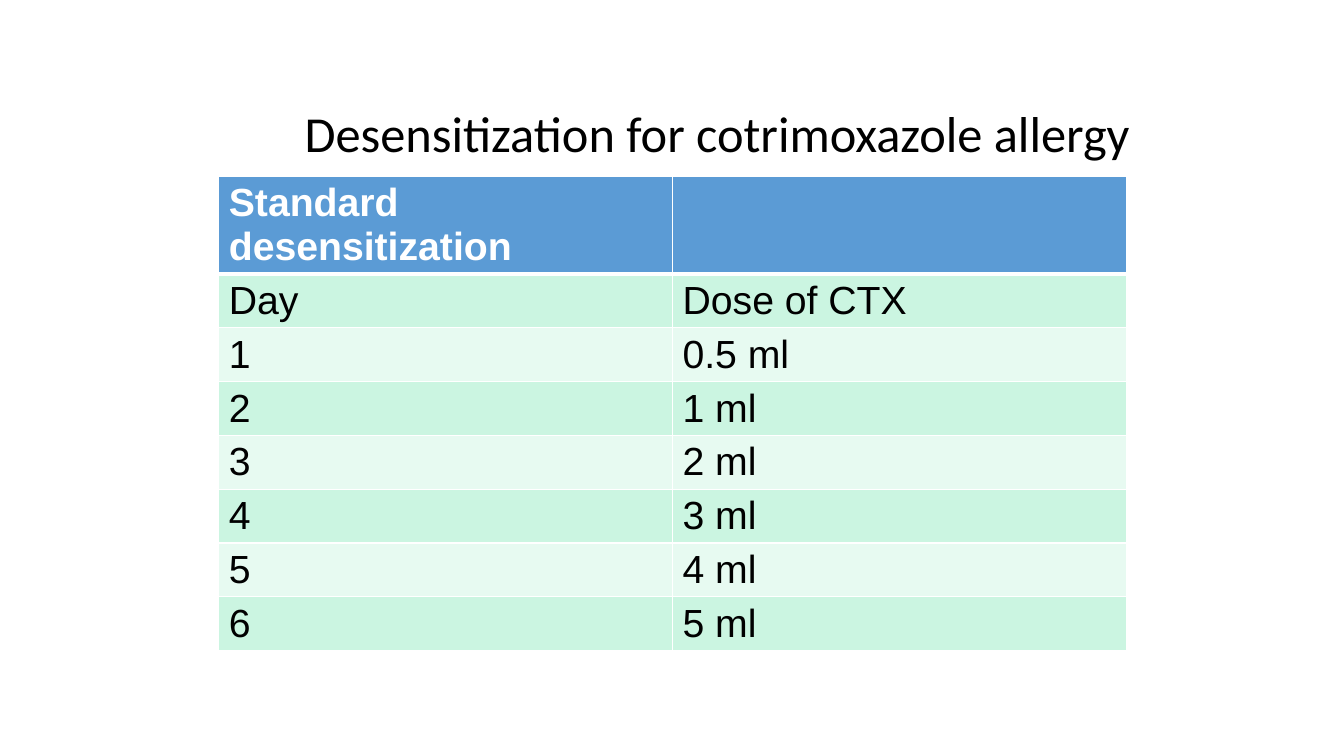
"""Build a slide with a dosing table for cotrimoxazole desensitization."""
from lxml.etree import SubElement
from pptx import Presentation
from pptx.dml.color import RGBColor
from pptx.enum.text import MSO_ANCHOR, PP_ALIGN
from pptx.oxml.ns import qn
from pptx.util import Inches, Pt

HEADER_BLUE, BAND_DARK, BAND_LIGHT = "5B9BD5", "CBF5E1", "E7FAF1"
WHITE, BLACK = "FFFFFF", "000000"
DOSES = ["0.5 ml", "1 ml", "2 ml", "3 ml", "4 ml", "5 ml"]
ROWS = [("Standard desensitization", ""), ("Day", "Dose of CTX")]
ROWS += [(str(day), dose) for day, dose in enumerate(DOSES, start=1)]


def write_text(frame, text, font="Arial", size=28, color=BLACK, bold=False, spacing=1.0):
    paragraph = frame.paragraphs[0]
    paragraph.alignment = PP_ALIGN.LEFT
    paragraph.line_spacing = spacing
    paragraph.font.size = Pt(size)
    if text:
        run = paragraph.add_run()
        run.text = text
        run.font.name = font
        run.font.size = Pt(size)
        run.font.bold = bold
        run.font.color.rgb = RGBColor.from_string(color)


def draw_border(cell, side, width):
    line = SubElement(cell._tc.get_or_add_tcPr(), qn(f"a:ln{side}"), w=str(Pt(width)))
    fill = SubElement(line, qn("a:solidFill"))
    SubElement(fill, qn("a:srgbClr"), val=WHITE)


presentation = Presentation()
presentation.slide_width = Inches(13.33)
presentation.slide_height = Inches(7.5)
slide = presentation.slides.add_slide(presentation.slide_layouts[5])

title = slide.shapes.title
title.left, title.top = Inches(2.92), Inches(0.42)
title.width, title.height = Inches(8.52), Inches(1.25)
title.text_frame.vertical_anchor = MSO_ANCHOR.BOTTOM
write_text(title.text_frame, "Desensitization for cotrimoxazole allergy",
           font="Calibri", size=36, spacing=0.9)

table = slide.shapes.add_table(len(ROWS), 2, Inches(2.17), Inches(1.75),
                               Inches(9), Inches(0.53 * len(ROWS))).table
table.rows[0].height = Inches(0.95)

for row, texts in enumerate(ROWS):
    header = row == 0
    band = HEADER_BLUE if header else BAND_DARK if row % 2 else BAND_LIGHT
    for column, text in enumerate(texts):
        cell = table.cell(row, column)
        write_text(cell.text_frame, text, color=WHITE if header else BLACK, bold=header)
        for side in "LRTB":
            thick = (row, side) in [(0, "B"), (1, "T")]
            draw_border(cell, side, 3 if thick else 1)
        cell.fill.solid()
        cell.fill.fore_color.rgb = RGBColor.from_string(band)

presentation.save("out.pptx")
